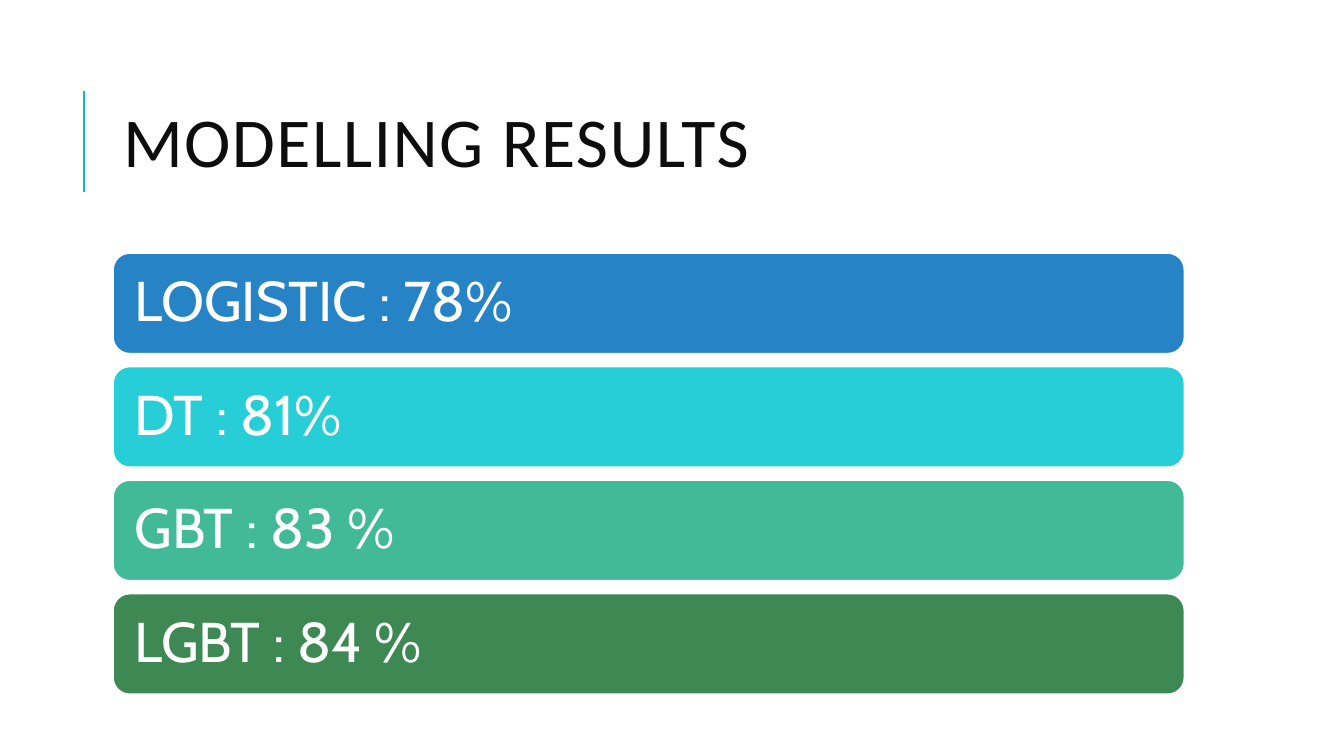
from dataclasses import dataclass

import pptx
import pptx.dml.color
import pptx.enum.shapes
import pptx.enum.text
import pptx.oxml.ns
import pptx.slide
import pptx.text.text
import pptx.util
from lxml import etree

Pt = pptx.util.Pt
LEFT, WIDTH = 80.7, 765.4
BAR_TOP, BAR_HEIGHT, BAR_PITCH = 180.7, 72, 81.1


@dataclass
class Bar:
    text: str
    fill: str


BARS = [
    Bar("LOGISTIC : 78%", "2683C6"),
    Bar("DT : 81%", "27CED7"),
    Bar("GBT : 83 %", "42BA97"),
    Bar("LGBT : 84 %", "3E8853"),
]


def rgb(value: str) -> pptx.dml.color.RGBColor:
    return pptx.dml.color.RGBColor.from_string(value)


def format_text(tf: pptx.text.text.TextFrame, text: str, font: str,
                size: float, color: str, line_spacing: float) -> None:
    tf.text = text
    tf.word_wrap = True
    tf.auto_size = pptx.enum.text.MSO_AUTO_SIZE.NONE
    tf.vertical_anchor = pptx.enum.text.MSO_ANCHOR.MIDDLE
    p = tf.paragraphs[0]
    p.alignment = pptx.enum.text.PP_ALIGN.LEFT
    p.line_spacing = line_spacing
    p.font.name = font
    p.font.size = Pt(size)
    p.font.color.rgb = rgb(color)


def add_title(s: pptx.slide.Slide, text: str) -> None:
    sp = s.shapes.title
    sp.left, sp.top, sp.width, sp.height = Pt(LEFT), Pt(46), Pt(WIDTH), Pt(118)
    format_text(sp.text_frame, text, "Calibri", 50, "0D0D0D", 0.8)
    r = sp.text_frame.paragraphs[0].runs[0]
    r._r.get_or_add_rPr().set("spc", "100")


def add_accent_line(s: pptx.slide.Slide) -> None:
    line = s.shapes.add_connector(
        pptx.enum.shapes.MSO_CONNECTOR.STRAIGHT, Pt(60), Pt(136.8), Pt(60), Pt(64.8))
    line.line.color.rgb = rgb("1CADE4")
    line.line.width = Pt(1.5)
    etree.SubElement(line._element.spPr, pptx.oxml.ns.qn("a:effectLst"))


def add_bar(s: pptx.slide.Slide, bar: Bar, top: float) -> None:
    sp = s.shapes.add_shape(
        pptx.enum.shapes.MSO_SHAPE.ROUNDED_RECTANGLE,
        Pt(LEFT), Pt(top), Pt(WIDTH), Pt(BAR_HEIGHT))
    sp.shadow.inherit = False
    sp.fill.solid()
    sp.fill.fore_color.rgb = rgb(bar.fill)
    sp.line.color.rgb = rgb("FFFFFF")
    sp.line.width = Pt(1.25)
    tf = sp.text_frame
    tf.margin_left = tf.margin_right = tf.margin_top = tf.margin_bottom = Pt(12)
    format_text(tf, bar.text, "Cabin", 40, "FFFFFF", 0.9)


def main() -> None:
    prs = pptx.Presentation()
    prs.slide_width, prs.slide_height = Pt(960), Pt(540)
    s = prs.slides.add_slide(prs.slide_layouts[5])
    add_accent_line(s)
    add_title(s, "MODELLING RESULTS")
    for i, bar in enumerate(BARS):
        add_bar(s, bar, BAR_TOP + i * BAR_PITCH)
    prs.save("out.pptx")


if __name__ == "__main__":
    main()
